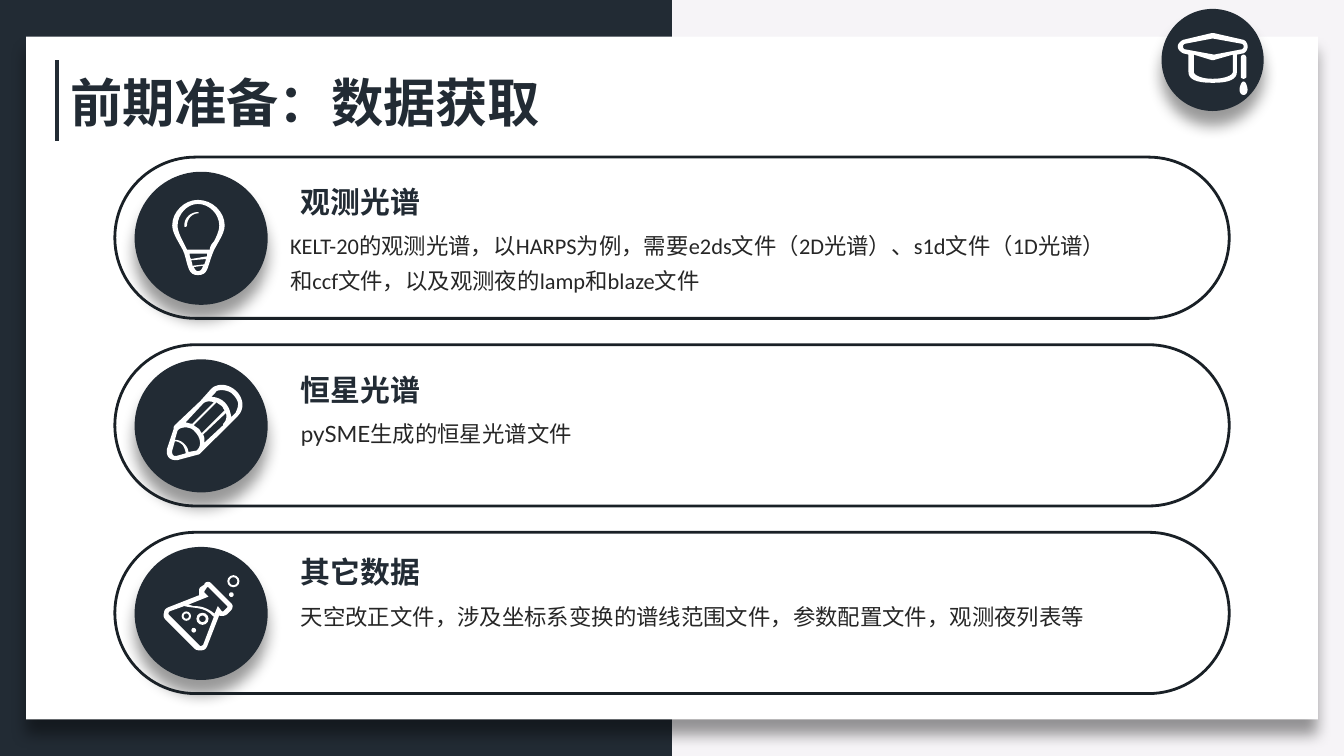
from dataclasses import dataclass

from lxml import etree
from pptx import Presentation
from pptx.dml.color import RGBColor
from pptx.enum import shapes, text
from pptx.oxml import ns
from pptx.util import Pt


@dataclass(frozen=True)
class Theme:
    navy: str = "222B34"
    outline: str = "192026"
    ink: str = "262626"
    paper: str = "FFFFFF"
    backdrop: str = "F6F4F7"
    title_size: float = 28
    heading_size: float = 16
    body_size: float = 12
    heading_font: str = "Lato"
    body_font: str = "Calibri"
    cjk_font: str = "Noto Sans CJK SC"


THEME = Theme()
SHAPE = shapes.MSO_SHAPE
ICON_UNIT = 0.72  # points per icon grid unit
BADGE_SIZE = 71.28

# Icon outlines on a grid measured from the top left of their badge:
# M starts a contour, L adds corners, C adds cubic curves.
CAP = """M 39,34 L 17,30 C 16,29 16,29 16,28 16,27 16,27 17,26 L 38,22 60,26
    C 61,27 61,27 61,28 61,29 61,29 60,30
    M 53,47 C 53,49 48,52 38,52 29,52 24,49 24,47 L 24,34 37,38 39,38 53,34
    M 64,28 C 64,26 63,24 61,23 L 39,18 37,18 16,23 C 14,24 12,26 12,28
    12,30 14,32 16,33 L 20,34 20,47 C 20,52 25,55 38,55 51,55 56,52 56,47
    L 56,34 61,33 C 63,32 64,30 64,28"""
TASSEL = """M 59,36 L 59,51 C 59,51 60,52 61,52 62,52 63,51 63,51 L 63,36
    C 63,35 62,34 61,34 60,34 59,35 59,36"""
TASSEL_DROP = """M 61,54 C 59,54 58,59 58,60 58,62 59,64 61,64
    63,64 64,62 64,60 64,59 63,54 61,54"""
BULB = """M 56,58 L 39,58 C 38,56 37,54 36,52 34,48 32,44 32,40 32,32 39,24 47,24
    56,24 63,32 63,40 63,44 61,48 59,52 57,54 56,56 56,58
    M 47,74 C 46,74 45,73 44,71 L 51,70 C 50,73 49,74 47,74
    M 42,65 C 41,64 41,62 41,61 L 54,61 54,63
    M 52,69 L 43,70 C 43,69 43,68 42,66 L 53,65 C 53,67 52,68 52,69
    M 47,21 C 37,21 28,30 28,40 28,47 35,55 37,61 40,71 40,77 47,77
    55,77 54,71 58,61 60,55 67,47 67,40 67,30 58,21 47,21"""
BULB_GLINT = """M 47,30 C 42,30 37,34 37,40 37,41 37,41 38,41 38,41 39,41 39,40
    39,35 43,31 47,31 48,31 48,30 47,30"""
PENCIL = """M 75,40 L 72,43 C 71,38 70,35 67,32 64,29 60,28 57,28 L 60,25
    C 61,23 63,23 65,23 68,23 71,24 73,26 75,28 77,31 77,33 77,36 76,38 75,40
    M 40,69 C 40,67 39,65 37,63 35,61 33,60 30,60 L 32,53 33,52
    C 36,50 42,50 45,54 49,58 50,64 47,67 L 46,68
    M 31,72 L 30,72 C 29,72 28,71 28,69 L 28,68 30,61
    C 32,61 34,62 36,64 37,66 38,68 38,70
    M 43,48 C 41,48 39,47 38,47 L 51,33 C 53,31 56,31 59,32
    M 50,55 C 49,54 49,53 48,52 47,51 45,50 44,49 L 61,32
    C 62,33 64,34 65,35 66,36 66,37 67,38
    M 52,61 C 52,59 52,58 51,56 L 68,40 C 69,43 68,46 66,48 L 66,49 52,62
    M 76,24 C 73,21 69,19 65,19 62,19 59,20 57,22 L 49,31 30,49
    C 29,50 29,51 29,52 L 24,67 24,69 C 24,73 27,75 30,75 L 32,75 47,71
    C 48,71 49,70 50,69 L 77,42 C 82,37 81,29 76,24"""
FLASK = """M 69,45 L 66,48 65,48 62,44 59,51 60,50 C 54,45 49,44 44,44
    L 40,43 55,37 52,34 52,33 54,30 55,30 69,44
    M 51,73 L 49,74 48,73 26,51 C 25,50 25,49 26,48 L 37,44 C 44,46 52,44 59,52
    M 58,28 C 57,27 56,26 55,26 53,26 52,27 52,28 L 49,30 C 48,31 48,32 48,33
    L 48,36 25,45 C 23,46 22,47 22,49 21,51 22,53 23,54 L 45,76
    C 46,77 48,77 49,77 52,77 53,76 54,74 L 63,51 C 65,52 68,51 69,50
    L 71,48 C 72,47 73,46 73,44 73,43 72,42 71,41"""
# centre x, centre y, radius, ring thickness (0 for a solid dot)
BUBBLES = [(50.5, 53.5, 4.5, 2), (73.5, 25.5, 4.5, 1.5), (38.5, 51.5, 3.5, 1.5),
           (44, 62, 1.75, 0), (72, 35.5, 1.75, 0)]

# heading, heading top, body box (left, top, width, height), body runs, outlines, bubbles
TOPICS = [
    ("观测光谱", 95, (148.3, 116.6, 456.5, 44.6),
     [("KELT-20的观测光谱，以HARPS为例，需要e2ds文件（2D光谱）、s1d文件（1D光谱）"
       "和ccf文件，以及观测夜的lamp和blaze文件", THEME.body_font)],
     [BULB, BULB_GLINT], []),
    ("恒星光谱", 195.8, (154.1, 217.4, 498.2, 26),
     [("pySME", THEME.heading_font), ("生成的恒星光谱文件", THEME.body_font)],
     [PENCIL], []),
    ("其它数据", 293, (154.1, 315.4, 451.4, 26),
     [("天空改正文件，涉及坐标系变换的谱线范围文件，参数配置文件，观测夜列表等",
       THEME.body_font)],
     [FLASK], BUBBLES),
]


def rgb(color):
    return RGBColor.from_string(color)


def apply_format(target, **values):
    for name, value in values.items():
        setattr(target, name, value)


def paint(shape, fill=None, line=None):
    shape.shadow.inherit = False
    if fill:
        shape.fill.solid()
        shape.fill.fore_color.rgb = rgb(fill)
    else:
        shape.fill.background()
    if line:
        shape.line.color.rgb = rgb(line)
        shape.line.width = Pt(1.5)
    else:
        shape.line.fill.background()


def add_preset(slide, kind, box, fill=None, line=None, adjustment=None):
    shape = slide.shapes.add_shape(kind, *map(Pt, box))
    if adjustment is not None:
        shape.adjustments[0] = adjustment
    paint(shape, fill, line)
    return shape


def cast_shadow(shape):
    """Give the shape a soft shadow straight below it."""
    effects = shape._element.spPr.find(ns.qn("a:effectLst"))
    shadow = etree.SubElement(effects, ns.qn("a:outerShdw"), blurRad=str(Pt(8)),
                              dist=str(Pt(8)), dir="5400000", rotWithShape="0")
    color = etree.SubElement(shadow, ns.qn("a:srgbClr"), val="000000")
    etree.SubElement(color, ns.qn("a:alpha"), val="40000")


def flatten(outline, steps=8):
    """Turn outline commands into one list of grid points per contour."""
    contours, command, controls = [], "", []
    for token in outline.split():
        if token in "MLC":
            command = token
            continue
        point = tuple(float(value) for value in token.split(","))
        if command == "M":
            contours.append([point])
        elif command == "L":
            contours[-1].append(point)
        else:
            controls.append(point)
            if len(controls) == 3:
                curve = [contours[-1][-1], *controls]
                for t in (step / steps for step in range(1, steps + 1)):
                    weights = ((1 - t) ** 3, 3 * t * (1 - t) ** 2, 3 * t * t * (1 - t), t ** 3)
                    contours[-1].append(tuple(
                        sum(w * p[axis] for w, p in zip(weights, curve)) for axis in (0, 1)))
                controls = []
    return contours


def add_icon(slide, outline, left, top):
    builder = None
    for contour in flatten(outline):
        points = [(Pt(x * ICON_UNIT), Pt(y * ICON_UNIT)) for x, y in contour]
        if builder is None:
            builder = slide.shapes.build_freeform(*points[0])
        else:
            builder.move_to(*points[0])
        builder.add_line_segments(points[1:], close=True)
    paint(builder.convert_to_shape(Pt(left), Pt(top)), THEME.paper)


def add_bubble(slide, left, top, x, y, radius, thickness):
    size = 2 * radius * ICON_UNIT
    box = (left + (x - radius) * ICON_UNIT, top + (y - radius) * ICON_UNIT, size, size)
    kind, ratio = (SHAPE.DONUT, thickness / (2 * radius)) if thickness else (SHAPE.OVAL, None)
    add_preset(slide, kind, box, THEME.paper, adjustment=ratio)


def add_badge(slide, left, top, size, outlines, bubbles=()):
    cast_shadow(add_preset(slide, SHAPE.OVAL, (left, top, size, size), THEME.navy))
    for outline in outlines:
        add_icon(slide, outline, left, top)
    for bubble in bubbles:
        add_bubble(slide, left, top, *bubble)


def write(frame, runs, size, color, bold=False, wrap=False, spacing=1.0):
    apply_format(frame, word_wrap=wrap, vertical_anchor=text.MSO_ANCHOR.TOP,
                 auto_size=text.MSO_AUTO_SIZE.SHAPE_TO_FIT_TEXT)
    paragraph = frame.paragraphs[0]
    apply_format(paragraph, alignment=text.PP_ALIGN.LEFT, line_spacing=spacing,
                 space_before=Pt(0))
    for words, font in runs:
        run = paragraph.add_run()
        run.text = words
        apply_format(run.font, name=font, size=Pt(size), bold=bold)
        run.font.color.rgb = rgb(color)
        etree.SubElement(run._r.get_or_add_rPr(), ns.qn("a:ea"), typeface=THEME.cjk_font)


def add_text(slide, box, runs, size, color, **options):
    write(slide.shapes.add_textbox(*map(Pt, box)).text_frame, runs, size, color, **options)


def add_frame(slide):
    """Two-tone backdrop, white panel, title rule and cap badge."""
    slide.background.fill.solid()
    slide.background.fill.fore_color.rgb = rgb(THEME.backdrop)
    add_preset(slide, SHAPE.RECTANGLE, (0, 0, 360, 405), THEME.navy)
    cast_shadow(add_preset(slide, SHAPE.RECTANGLE, (14, 19.6, 692, 365.8), THEME.paper))
    rule = slide.shapes.add_connector(shapes.MSO_CONNECTOR.STRAIGHT,
                                      *map(Pt, (30.7, 32.2, 30.7, 75.6)))
    apply_format(rule.line, width=Pt(2.25))
    rule.line.color.rgb = rgb(THEME.navy)
    etree.SubElement(rule._element.spPr, ns.qn("a:effectLst"))
    add_badge(slide, 622.3, 4.8, 54.7, [CAP, TASSEL, TASSEL_DROP])


def add_title(slide, words):
    title = slide.shapes.title
    apply_format(title, left=Pt(30.4), top=Pt(34), width=Pt(268), height=Pt(41.2))
    write(title.text_frame, [(words, THEME.cjk_font)], THEME.title_size, THEME.navy, bold=True)
    slide.shapes._spTree.append(title._element)  # bring in front of the panel


def add_topic(slide, index, heading, heading_top, body_box, body, outlines, bubbles):
    top = 84.2 + 100.5 * index
    add_badge(slide, 72.1, top + 7.8, BADGE_SIZE, outlines, bubbles)
    add_preset(slide, SHAPE.ROUNDED_RECTANGLE, (61.5, top, 597, 86.4),
               line=THEME.outline, adjustment=0.5)
    add_text(slide, (154.1, heading_top, 78.5, 26.6), [(heading, THEME.heading_font)],
             THEME.heading_size, THEME.navy, bold=True)
    add_text(slide, body_box, body, THEME.body_size, THEME.ink, wrap=True, spacing=1.3)


def main():
    deck = Presentation()
    apply_format(deck, slide_width=Pt(720), slide_height=Pt(405))
    slide = deck.slides.add_slide(deck.slide_layouts[5])
    add_frame(slide)
    for index, topic in enumerate(TOPICS):
        add_topic(slide, index, *topic)
    add_title(slide, "前期准备：数据获取")
    deck.save("out.pptx")


if __name__ == "__main__":
    main()
